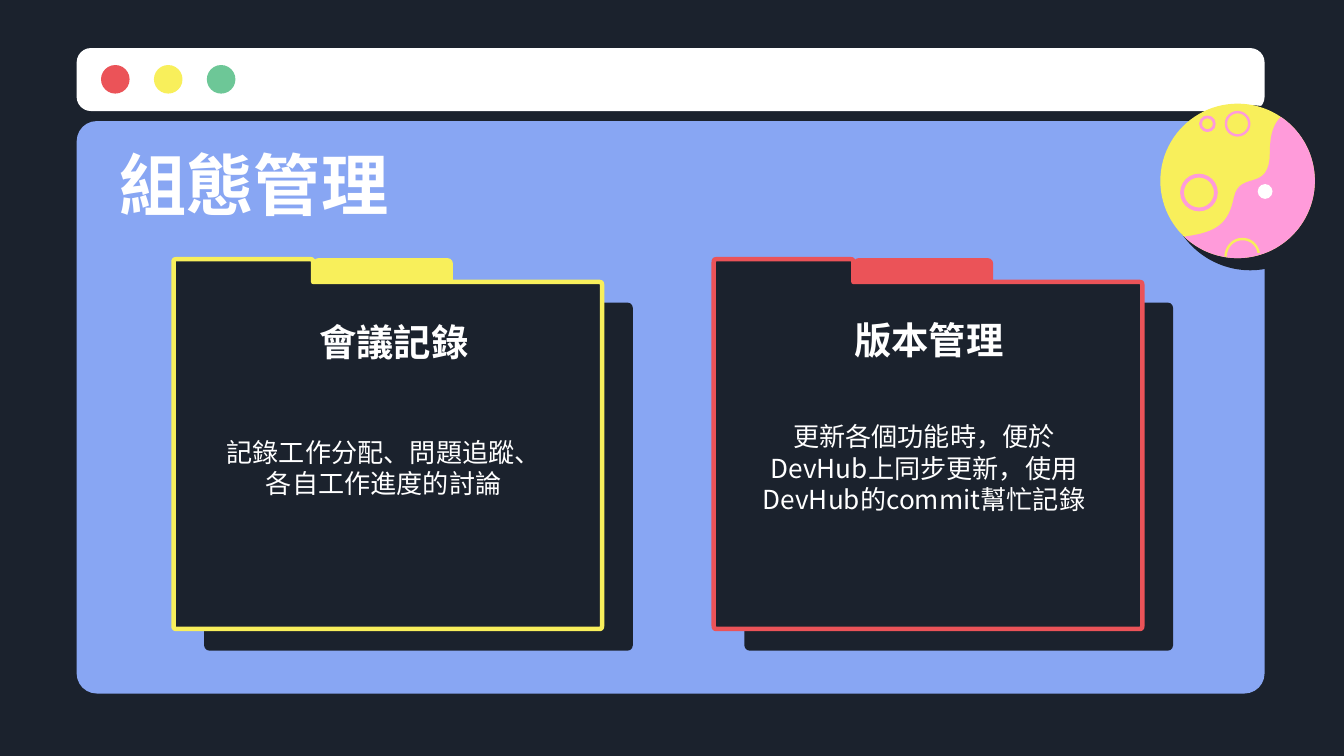
from math import cos, radians, sin

from lxml.etree import SubElement
from pptx import Presentation
from pptx.dml.color import RGBColor
from pptx.enum.shapes import MSO_SHAPE
from pptx.enum.text import MSO_ANCHOR, PP_ALIGN
from pptx.oxml.ns import qn
from pptx.util import Cm, Pt

DARK = RGBColor(0x1B, 0x22, 0x2D)
BLUE = RGBColor(0x88, 0xA6, 0xF3)
WHITE = RGBColor(0xFF, 0xFF, 0xFF)
RED = RGBColor(0xEB, 0x53, 0x58)
YELLOW = RGBColor(0xF8, 0xEF, 0x5B)
GREEN = RGBColor(0x6D, 0xC7, 0x97)
PINK = RGBColor(0xFF, 0x9B, 0xDA)
FONT = "Noto Sans CJK SC"

TITLE = {"size": Pt(36), "bold": True}
HEAD = {"size": Pt(20), "bold": True}
BODY = {"size": Pt(14), "bold": False}


def paint(shape, fill=None, line=None, width=0):
    shape.shadow.inherit = False
    if fill is None:
        shape.fill.background()
    else:
        shape.fill.solid()
        shape.fill.fore_color.rgb = fill
    if line is None:
        shape.line.fill.background()
    else:
        shape.line.color.rgb = line
        shape.line.width = Pt(width)


def add_box(slide, x, y, w, h, radius, fill):
    box = slide.shapes.add_shape(
        MSO_SHAPE.ROUNDED_RECTANGLE, Cm(x), Cm(y), Cm(w), Cm(h))
    box.adjustments[0] = radius / min(w, h)
    paint(box, fill)


def add_disc(slide, x, y, r, **look):
    """Circle of radius r around the centre x, y."""
    disc = slide.shapes.add_shape(
        MSO_SHAPE.OVAL, Cm(x - r), Cm(y - r), Cm(2 * r), Cm(2 * r))
    paint(disc, **look)


def add_path(slide, points, close=True, **look):
    dots = [(Cm(x), Cm(y)) for x, y in points]
    path = slide.shapes.build_freeform(*dots[0])
    path.add_line_segments(dots[1:], close=close)
    paint(path.convert_to_shape(), **look)


def add_text(slide, text, x, y, w, h, style,
             align=PP_ALIGN.CENTER, anchor=MSO_ANCHOR.MIDDLE):
    frame = slide.shapes.add_textbox(Cm(x), Cm(y), Cm(w), Cm(h)).text_frame
    layout = {"word_wrap": True, "vertical_anchor": anchor}
    layout |= {f"margin_{side}": Cm(0.25)
               for side in ("left", "top", "right", "bottom")}
    for name, value in layout.items():
        setattr(frame, name, value)
    par = frame.paragraphs[0]
    par.alignment = align
    run = par.add_run()
    run.text = text
    for name, value in (style | {"name": FONT}).items():
        setattr(run.font, name, value)
    run.font.color.rgb = WHITE
    SubElement(run.font._element, qn("a:ea"), typeface=FONT)


def bend(a, b, c, d, steps=16):
    """Points on the cubic curve from a to d with handles b and c."""
    points = []
    for i in range(steps + 1):
        t = i / steps
        u = 1 - t
        points.append(tuple(
            u**3 * p + 3 * u * u * t * q + 3 * u * t * t * r + t**3 * s
            for p, q, r, s in zip(a, b, c, d)))
    return points


def soften(corners, radius):
    """Outline through corners (x, y, is_round), rounding those marked."""
    points = []
    for i, (x, y, is_round) in enumerate(corners):
        if not is_round:
            points.append((x, y))
            continue
        ends = []
        for nx, ny, _ in (corners[i - 1], corners[(i + 1) % len(corners)]):
            size = abs(nx - x) + abs(ny - y)
            ends.append((x + (nx - x) * radius / size,
                         y + (ny - y) * radius / size))
        points += bend(ends[0], (x, y), (x, y), ends[1], 6)
    return points


def add_window(slide):
    add_box(slide, 1.45, 2.29, 22.45, 10.82, 0.38, BLUE)
    add_box(slide, 1.45, 0.91, 22.45, 1.19, 0.27, WHITE)
    for i, color in enumerate((RED, YELLOW, GREEN)):
        add_disc(slide, 2.18 + i, 1.5, 0.27, fill=color)


def add_planet(slide):
    x, y, r = 23.39, 3.42, 1.46
    add_disc(slide, 23.63, 3.55, 1.56, fill=DARK)
    add_disc(slide, x, y, r, fill=YELLOW)
    for cx, cy, size, width in ((23.39, 2.34, 0.22, 1.3),
                                (22.66, 3.64, 0.32, 2),
                                (22.82, 2.34, 0.13, 1.5)):
        add_disc(slide, cx, cy, size, line=PINK, width=width)
    rim = [(x + r * cos(radians(a)), y + r * sin(radians(a)))
           for a in range(-56, 134, 3)]
    wave = (bend((22.4, 4.47), (23.01, 4.39), (23.22, 4.22), (23.32, 3.73))
            + bend((23.32, 3.73), (23.44, 3.2), (24, 3.66), (24, 2.87))
            + bend((24, 2.87), (24, 2.49), (24.1, 2.31), (24.21, 2.21)))
    add_path(slide, rim + wave, fill=PINK)
    arc = bend((23.79, 4.78), (23.72, 4.42), (23.2, 4.42), (23.16, 4.85))
    add_path(slide, arc, close=False, line=YELLOW, width=1.3)
    add_disc(slide, 23.91, 3.62, 0.14, fill=WHITE)


def add_folder(slide, x, color):
    width, tab, top, edge, base = 8.1, 2.64, 4.9, 5.33, 11.89
    add_box(slide, x + 0.58, 5.72, width, 6.58, 0.1, DARK)
    add_box(slide, x + tab, 4.88, tab, 0.84, 0.1, color)
    corners = [(x, top, True), (x + tab, top, True), (x + tab, edge, False),
               (x + width, edge, True), (x + width, base, True),
               (x, base, True)]
    add_path(slide, soften(corners, 0.1), fill=DARK, line=color, width=2.4)


def main():
    deck = Presentation()
    deck.slide_width, deck.slide_height = Cm(25.4), Cm(14.29)
    slide = deck.slides.add_slide(deck.slide_layouts[6])
    slide.background.fill.solid()
    slide.background.fill.fore_color.rgb = DARK

    add_window(slide)
    add_planet(slide)
    add_text(slide, "組態管理", 2.01, 2.69, 21.41, 1.57, TITLE, PP_ALIGN.LEFT)

    folders = (
        (3.28, YELLOW, "會議記錄", 4.09, 5.72,
         "記錄工作分配、問題追蹤、各自工作進度的討論", 3.89, 8, 1.75),
        (13.49, RED, "版本管理", 14.2, 5.69,
         "更新各個功能時，便於DevHub上同步更新，使用DevHub的commit幫忙記錄",
         14.1, 7.7, 2.36),
    )
    for x, color, head, hx, hy, body, bx, by, tall in folders:
        add_folder(slide, x, color)
        add_text(slide, head, hx, hy, 6.71, 1.47, HEAD)
        add_text(slide, body, bx, by, 6.73, tall, BODY, anchor=MSO_ANCHOR.TOP)

    deck.save("out.pptx")


if __name__ == "__main__":
    main()
